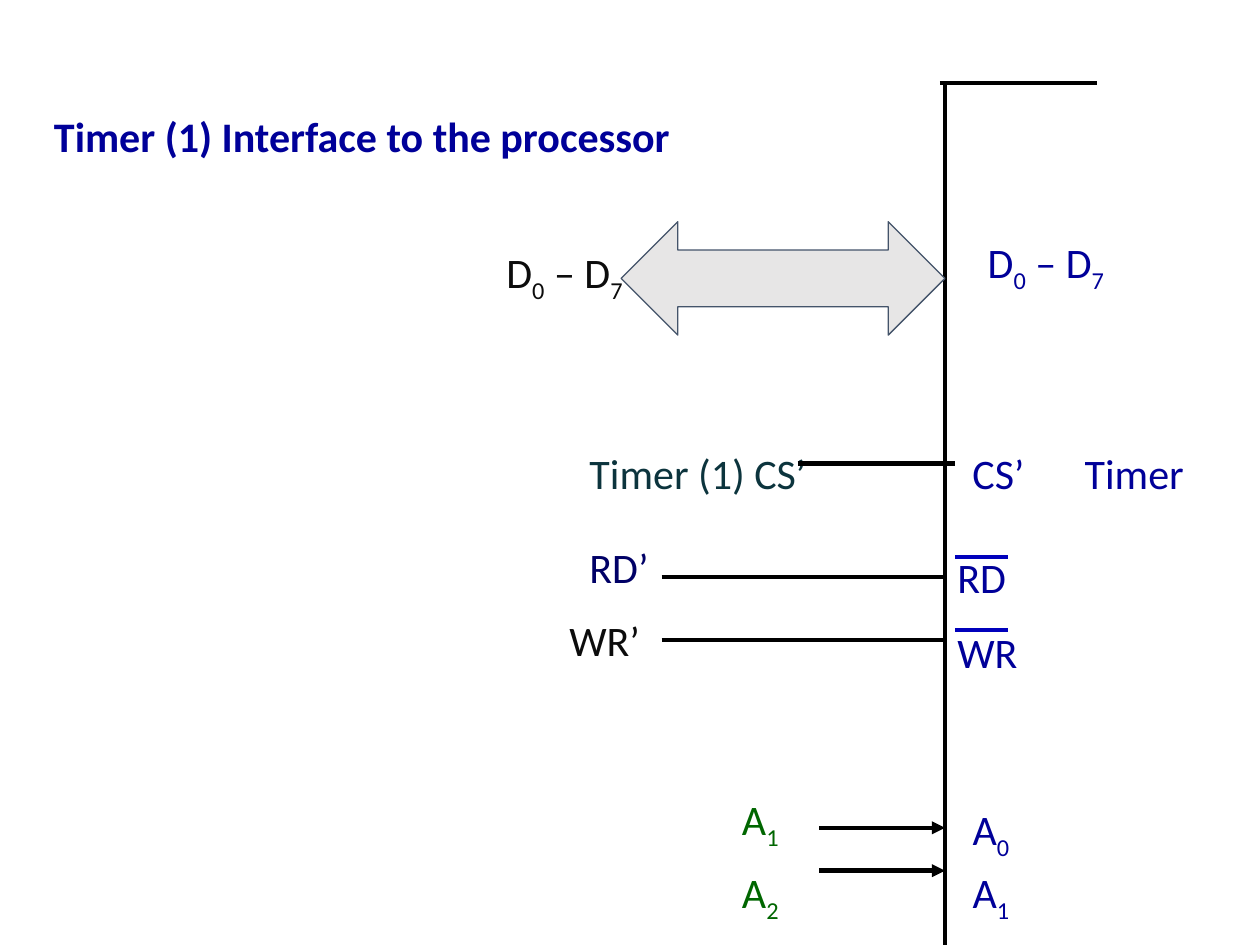
from lxml import etree
from pptx import Presentation
from pptx.dml.color import RGBColor
from pptx.enum.shapes import MSO_CONNECTOR, MSO_SHAPE
from pptx.oxml.ns import qn
from pptx.util import Inches, Pt

STRAIGHT = MSO_CONNECTOR.STRAIGHT
DOUBLE_ARROW = MSO_SHAPE.LEFT_RIGHT_ARROW

COLORS = {
    "navy": "000099",
    "dark_navy": "000066",
    "overline": "0000BC",
    "green": "006600",
    "teal": "0C343D",
    "ink": "0C0C0C",
    "black": "000000",
    "bus_fill": "E7E6E6",
    "bus_line": "44546A",
}
FONT = "Calibri"
CHIP_EDGE = 7.5
DATA_BUS = [("D", False), ("0", True), (" – D", False), ("7", True)]


def color(name):
    return RGBColor.from_string(COLORS[name])


def plain(text):
    return [(text, False)]


def indexed(letter, index):
    return [(letter, False), (index, True)]


def add_label(page, left, top, width, runs, color_name, bold=False):
    box = page.shapes.add_textbox(Inches(left), Inches(top), Inches(width), Inches(0.5))
    box.text_frame.word_wrap = True
    para = box.text_frame.paragraphs[0]
    for text, subscript in runs:
        span = para.add_run()
        span.text = text
        span.font.name = FONT
        span.font.size = Pt(24)
        span.font.bold = bold
        span.font.color.rgb = color(color_name)
        if subscript:
            span._r.get_or_add_rPr().set("baseline", "-25000")


def add_line(page, start, end, color_name="black", arrow=False):
    points = [Inches(value) for value in (*start, *end)]
    line = page.shapes.add_connector(STRAIGHT, *points)
    line.line.color.rgb = color(color_name)
    line.line.width = Pt(2.5)
    if arrow:
        etree.SubElement(line.line._get_or_add_ln(), qn("a:tailEnd"), type="triangle")
    etree.SubElement(line._element.spPr, qn("a:effectLst"))


def add_data_bus(page, left, top, width, height):
    bus = page.shapes.add_shape(
        DOUBLE_ARROW, Inches(left), Inches(top), Inches(width), Inches(height)
    )
    bus.shadow.inherit = False
    bus.fill.solid()
    bus.fill.fore_color.rgb = color("bus_fill")
    bus.line.color.rgb = color("bus_line")
    bus.line.width = Pt(0.75)


def main():
    deck = Presentation()
    deck.slide_width, deck.slide_height = Inches(10), Inches(7.5)
    page = deck.slides.add_slide(deck.slide_layouts[6])

    add_label(page, 0.33, 0.83, 6.92, plain("Timer (1) Interface to the processor"), "navy", True)

    add_line(page, (CHIP_EDGE, 0.67), (CHIP_EDGE, 7.5))
    add_line(page, (7.46, 0.66), (8.71, 0.66))

    chip_labels = [
        (7.74, 1.83, 1.58, DATA_BUS),
        (7.62, 3.5, 1.17, plain("CS’")),
        (8.51, 3.5, 2.08, plain("Timer")),
        (7.5, 4.33, 1.17, plain("RD")),
        (7.5, 4.92, 1.17, plain("WR")),
        (7.62, 6.33, 0.58, indexed("A", "0")),
        (7.62, 6.83, 0.58, indexed("A", "1")),
    ]
    for left, top, width, runs in chip_labels:
        add_label(page, left, top, width, runs, "navy")

    processor_labels = [
        (3.92, 1.91, 1.58, DATA_BUS, "ink"),
        (4.58, 3.5, 2.02, plain("Timer (1) CS’"), "teal"),
        (4.58, 4.25, 1.17, plain("RD’"), "dark_navy"),
        (4.42, 4.83, 1.17, plain("WR’"), "ink"),
        (5.79, 6.25, 0.58, indexed("A", "1"), "green"),
        (5.79, 6.83, 0.58, indexed("A", "2"), "green"),
    ]
    for label in processor_labels:
        add_label(page, *label)

    add_line(page, (6.33, 3.68), (7.58, 3.68))
    for y in (4.58, 5.08):
        add_line(page, (5.25, y), (CHIP_EDGE, y))
    for y in (4.42, 5):
        add_line(page, (7.58, y), (8, y), "overline")
    for y in (6.57, 6.91):
        add_line(page, (6.5, y), (CHIP_EDGE, y), arrow=True)

    add_data_bus(page, 4.93, 1.76, 2.57, 0.9)
    deck.save("out.pptx")


if __name__ == "__main__":
    main()
